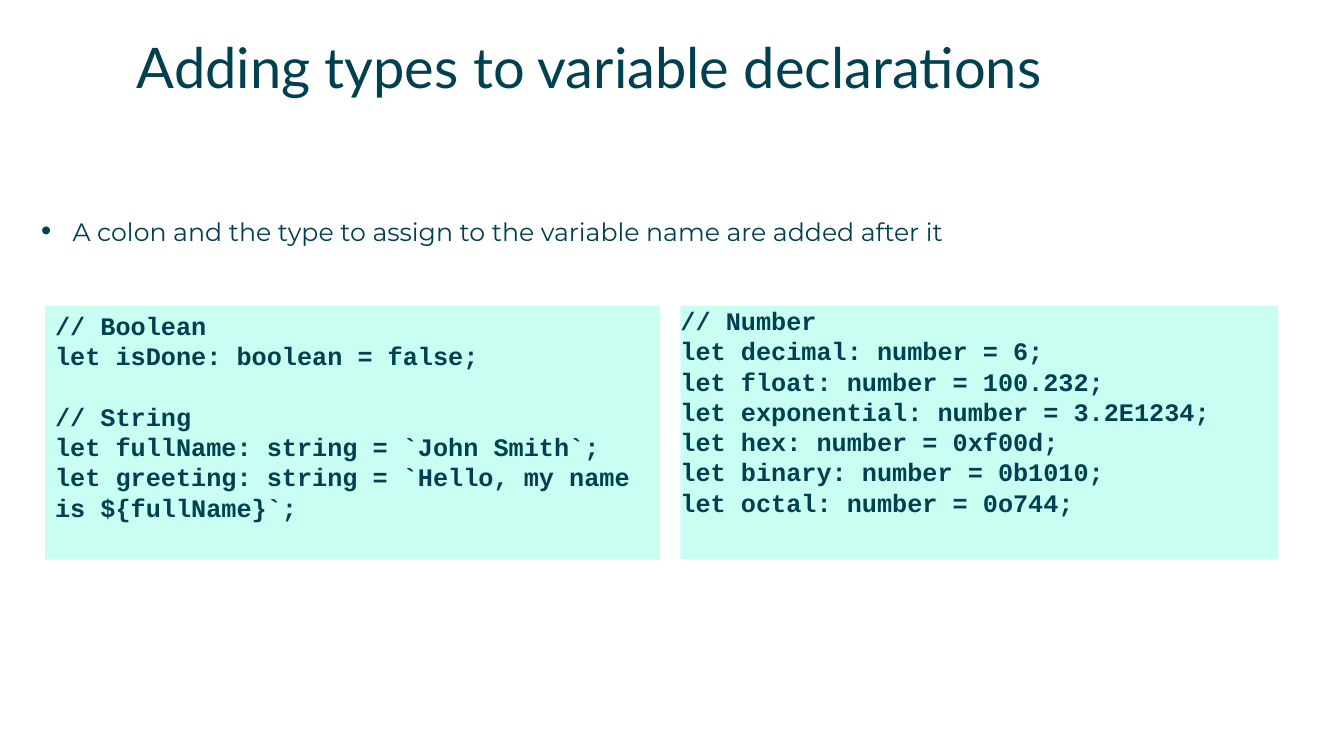
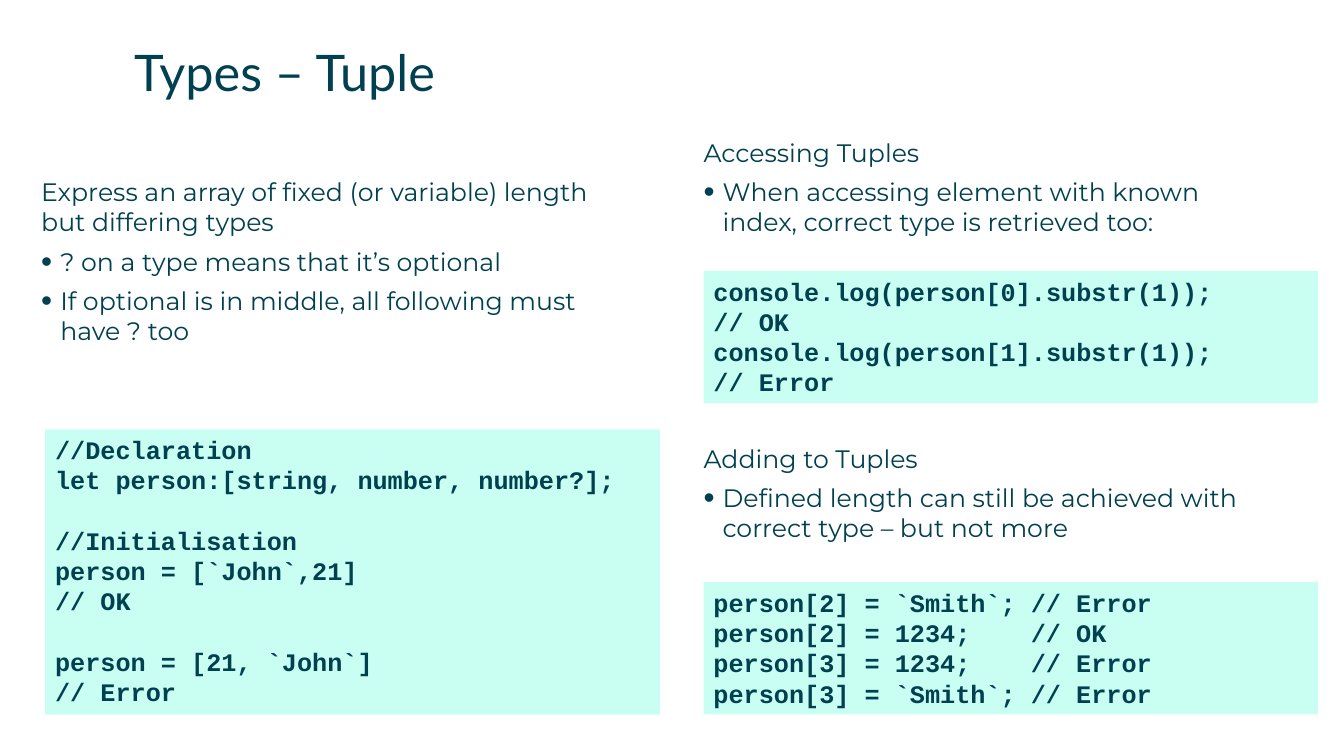
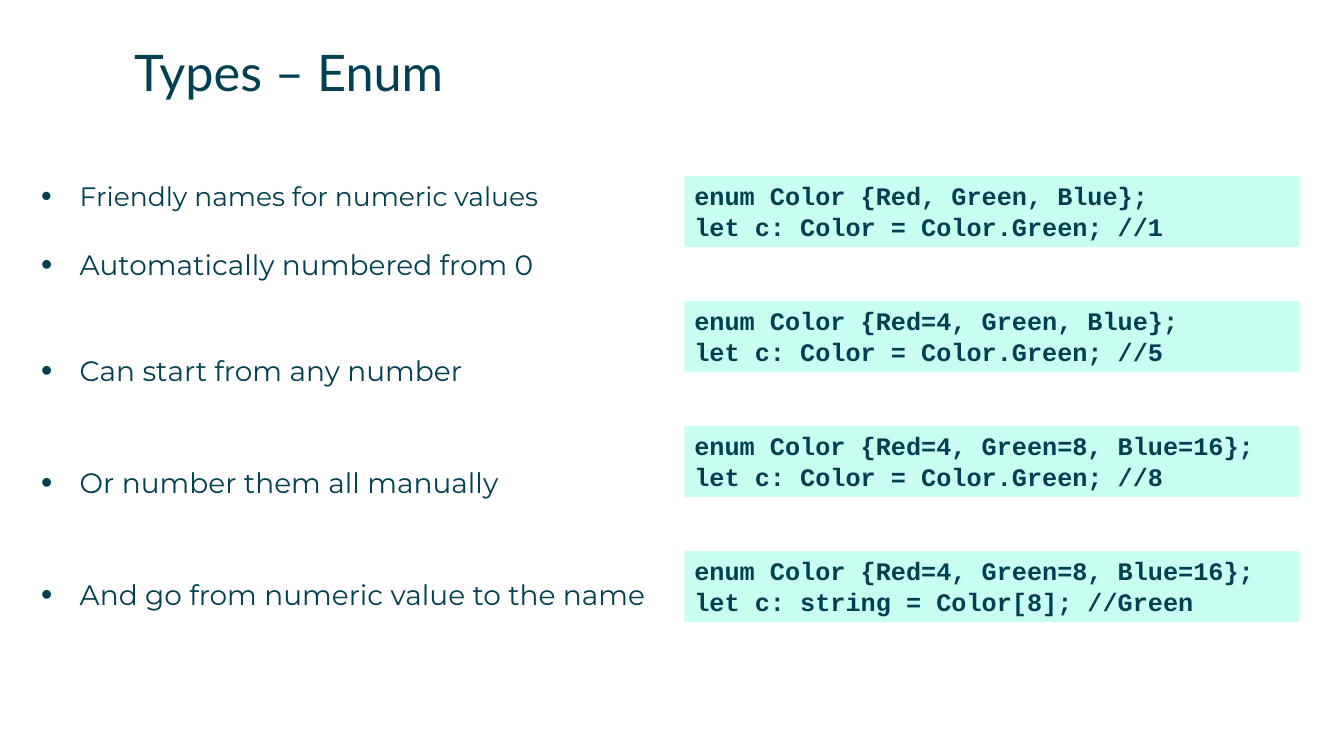
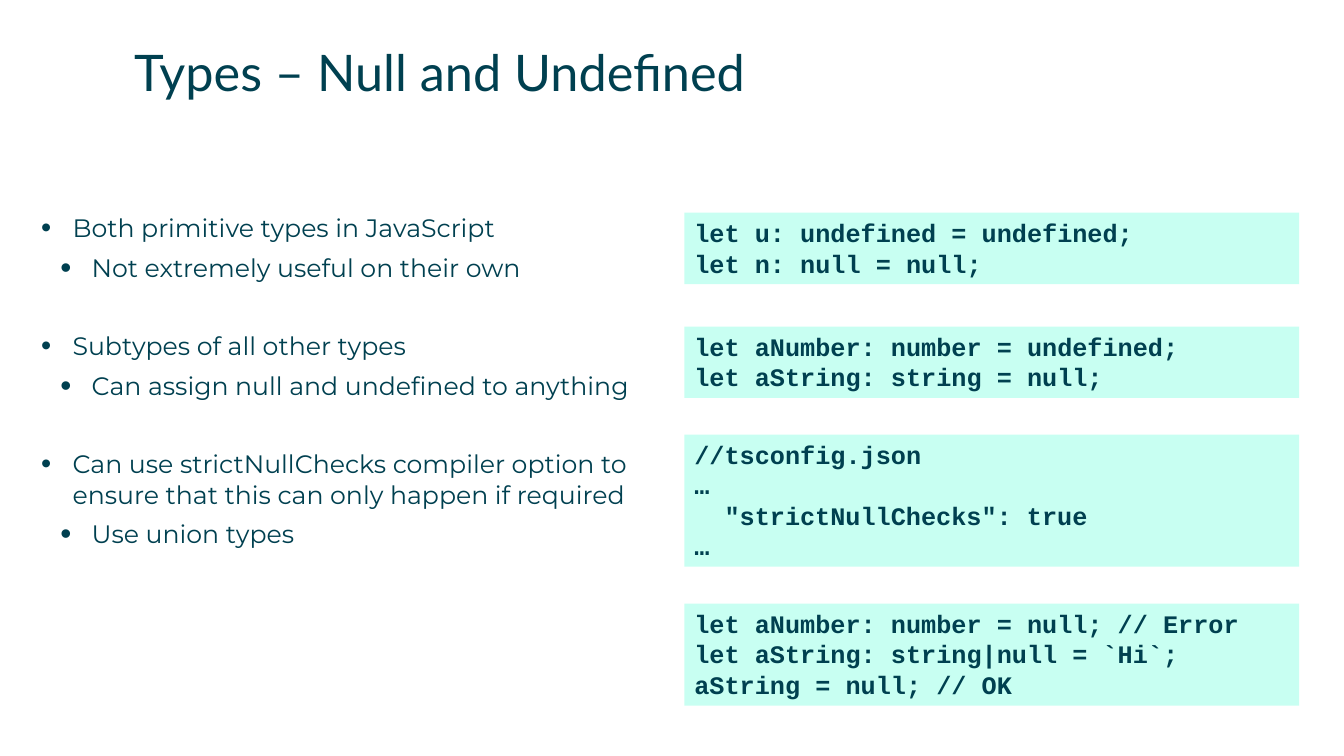
from lxml import etree
from pptx import Presentation
from pptx.dml.color import RGBColor
from pptx.enum.shapes import MSO_SHAPE
from pptx.enum.text import MSO_ANCHOR, PP_ALIGN
from pptx.oxml.ns import qn
from pptx.util import Cm, Pt

RECTANGLE = MSO_SHAPE.RECTANGLE
TOP = MSO_ANCHOR.TOP
LEFT = PP_ALIGN.LEFT

COLOURS = {"ink": "004050", "code": "C8FFF2"}
LINE_RATIO = 1.2
CODE_WIDTH = 15.49
TEXT_LEFT = 1.04
CODE_LEFT = 1.14
RIGHT_LEFT = 17.25
TUPLE_LEFT = 17.73
TWO_LINES, THREE_LINES, FOUR_LINES = 1.8, 2.57, 3.33

BODY = {"font": "Montserrat", "size": 18, "after": 6.5}
STYLES = {
    "title": {"font": "Lato", "size": 36},
    "large title": {"font": "Lato", "size": 40},
    "code": {"font": "Courier New", "size": 18, "bold": True},
    "plain": BODY,
    "bullet": {**BODY, "margin": 0.79, "hang": 0.79, "bullet": 115},
    "tight": {**BODY, "margin": 0.48, "hang": 0.48, "bullet": 125},
    "nested": {**BODY, "margin": 1.27, "hang": 0.79, "bullet": 125},
    "wide": {**BODY, "size": 20, "margin": 0.97, "hang": 0.97, "bullet": 115},
    "wide small": {**BODY, "size": 19, "margin": 0.97, "hang": 0.97, "bullet": 115},
}

SLIDES = [
    {
        "title": ("Adding types to variable declarations", "large title", 3.45, 0.81),
        "texts": [
            (TEXT_LEFT, 5.44, 31.75, 1.2, [
                ("A colon and the type to assign to the variable name are added after it", "bullet", 0),
            ]),
        ],
        "codes": [
            (CODE_LEFT, 7.7, CODE_WIDTH, 6.4, 0.25, 0, """// Boolean
let isDone: boolean = false;

// String
let fullName: string = `John Smith`;
let greeting: string = `Hello, my name is ${fullName}`;"""),
            (17.15, 7.7, 15.06, 6.4, 0, 0, """// Number
let decimal: number = 6;
let float: number = 100.232;
let exponential: number = 3.2E1234;
let hex: number = 0xf00d;
let binary: number = 0b1010;
let octal: number = 0o744;"""),
        ],
    },
    {
        "title": ("Types – Tuple", "title", 3.38, 1.04),
        "texts": [
            (TEXT_LEFT, 4.45, 14.25, 4.5, [
                ("Express an array of fixed (or variable) length but differing types", "plain", 0),
                ("? on a type means that it’s optional", "tight", 0),
                ("If optional is in middle, all following must have ? too", "tight", 0),
            ]),
            (TUPLE_LEFT, 3.45, 14.25, 2.8, [
                ("Accessing Tuples", "plain", 0),
                ("When accessing element with known index, correct type is retrieved too:", "tight", 0),
            ]),
            (TUPLE_LEFT, 11.16, 14.25, 2.8, [
                ("Adding to Tuples", "plain", 0),
                ("Defined length can still be achieved with correct type – but not more", "tight", 0),
            ]),
        ],
        "codes": [
            (CODE_LEFT, 10.82, CODE_WIDTH, 7.19, 0.25, 0, """//Declaration
let person:[string, number, number?];

//Initialisation
person = [`John`,21]
// OK

person = [21, `John`]
// Error"""),
            (TUPLE_LEFT, 6.83, CODE_WIDTH, FOUR_LINES, 0.25, 0, """console.log(person[0].substr(1));
// OK
console.log(person[1].substr(1));
// Error"""),
            (TUPLE_LEFT, 14.67, CODE_WIDTH, FOUR_LINES, 0.25, 8, """person[2] = `Smith`;\t// Error
person[2] = 1234;\t// OK
person[3] = 1234;\t// Error
person[3] = `Smith`;\t// Error"""),
        ],
    },
    {
        "title": ("Types – Enum", "title", 3.38, 1.04),
        "texts": [
            (TEXT_LEFT, 4.53, 16, 12, [
                ("Friendly names for numeric values", "wide small", 0),
                ("Automatically numbered from 0", "wide", 19.1),
                ("Can start from any number", "wide", 44.9),
                ("Or number them all manually", "wide", 49.7),
                ("And go from numeric value to the name", "wide", 49.7),
            ]),
        ],
        "codes": [
            (RIGHT_LEFT, 4.43 + 3.15 * row, CODE_WIDTH, TWO_LINES, 0.25, 0, code)
            for row, code in enumerate([
                "enum Color {Red, Green, Blue};\nlet c: Color = Color.Green; //1",
                "enum Color {Red=4, Green, Blue};\nlet c: Color = Color.Green; //5",
                "enum Color {Red=4, Green=8, Blue=16};\nlet c: Color = Color.Green; //8",
                "enum Color {Red=4, Green=8, Blue=16};\nlet c: string = Color[8]; //Green",
            ])
        ],
    },
    {
        "title": ("Types – Null and Undefined", "title", 3.38, 1.04),
        "texts": [
            (TEXT_LEFT, 5.36, 15.9, 10.03, [
                ("Both primitive types in JavaScript", "bullet", 0),
                ("Not extremely useful on their own", "nested", 0),
                ("Subtypes of all other types", "bullet", 28.1),
                ("Can assign null and undefined to anything", "nested", 0),
                ("Can use strictNullChecks compiler option to ensure that this can only happen if required",
                 "bullet", 28.1),
                ("Use union types", "nested", 0),
            ]),
        ],
        "codes": [
            (RIGHT_LEFT, 5.36, CODE_WIDTH, TWO_LINES, 0.25, 0,
             "let u: undefined = undefined;\nlet n: null = null;"),
            (RIGHT_LEFT, 8.23, CODE_WIDTH, TWO_LINES, 0.25, 0,
             "let aNumber: number = undefined;\nlet aString: string = null;"),
            (RIGHT_LEFT, 10.95, CODE_WIDTH, FOUR_LINES, 0.25, 0.76,
             "//tsconfig.json\n…\n\t\"strictNullChecks\": true\n…"),
            (RIGHT_LEFT, 15.21, CODE_WIDTH, THREE_LINES, 0.25, 0,
             "let aNumber: number = null; // Error\nlet aString: string|null = `Hi`;\naString = null; // OK"),
        ],
    },
]


def write_paragraph(para, text, style, before=0, tab=0):
    values = {
        "alignment": LEFT,
        "line_spacing": Pt(style["size"] * LINE_RATIO),
        "space_before": Pt(before),
        "space_after": Pt(style.get("after", 0)),
    }
    for name, value in values.items():
        setattr(para, name, value)
    properties = para._p.get_or_add_pPr()
    if "bullet" in style:
        properties.set("marL", str(Cm(style["margin"])))
        properties.set("indent", str(-Cm(style["hang"])))
        etree.SubElement(properties, qn("a:buSzPct"), val=str(style["bullet"] * 1000))
        etree.SubElement(properties, qn("a:buFont"), typeface="Arial")
        etree.SubElement(properties, qn("a:buChar"), char="•")
    if tab:
        stops = etree.SubElement(properties, qn("a:tabLst"))
        etree.SubElement(stops, qn("a:tab"), pos=str(Cm(tab)), algn="l")
    span = para.add_run()
    span.text = text
    font_values = {"name": style["font"], "size": Pt(style["size"]), "bold": style.get("bold", False)}
    for name, value in font_values.items():
        setattr(span.font, name, value)
    span.font.color.rgb = RGBColor.from_string(COLOURS["ink"])


def write_box(box, rows, side=0, edge=0, tab=0):
    frame = box.text_frame
    values = {
        "word_wrap": True,
        "vertical_anchor": TOP,
        "margin_left": Cm(side),
        "margin_right": Cm(side),
        "margin_top": Cm(edge),
        "margin_bottom": Cm(edge),
    }
    for name, value in values.items():
        setattr(frame, name, value)
    for index, (text, style, before) in enumerate(rows):
        para = frame.add_paragraph() if index else frame.paragraphs[0]
        write_paragraph(para, text, STYLES[style], before, tab)


deck = Presentation()
deck.slide_width = Cm(33.87)
deck.slide_height = Cm(19.05)
blank = deck.slide_layouts[6]
code_gap = STYLES["code"]["size"] * LINE_RATIO

for content in SLIDES:
    page = deck.slides.add_slide(blank)

    title, title_style, left, top = content["title"]
    box = page.shapes.add_textbox(Cm(left), Cm(top), Cm(29), Cm(1.7))
    write_box(box, [(title, title_style, 0)])

    for left, top, width, height, rows in content["texts"]:
        box = page.shapes.add_textbox(Cm(left), Cm(top), Cm(width), Cm(height))
        write_box(box, rows)

    for left, top, width, height, side, tab, code in content["codes"]:
        box = page.shapes.add_shape(RECTANGLE, Cm(left), Cm(top), Cm(width), Cm(height))
        box.shadow.inherit = False
        box.fill.solid()
        box.fill.fore_color.rgb = RGBColor.from_string(COLOURS["code"])
        box.line.fill.background()
        rows = []
        for group in code.split("\n\n"):
            for index, line in enumerate(group.split("\n")):
                rows.append((line, "code", code_gap if rows and index == 0 else 0))
        write_box(box, rows, side, side / 2, tab)

deck.save("out.pptx")
